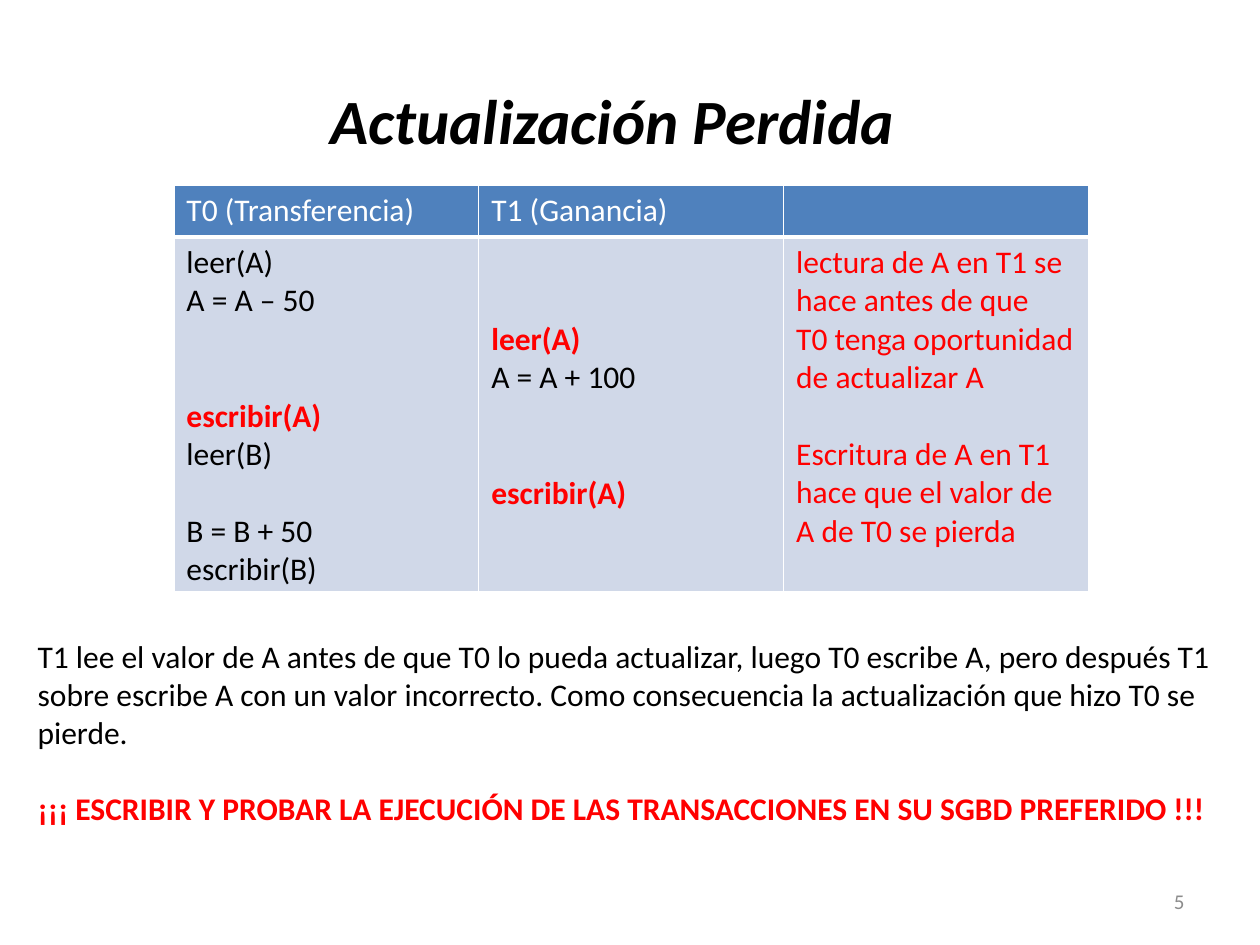
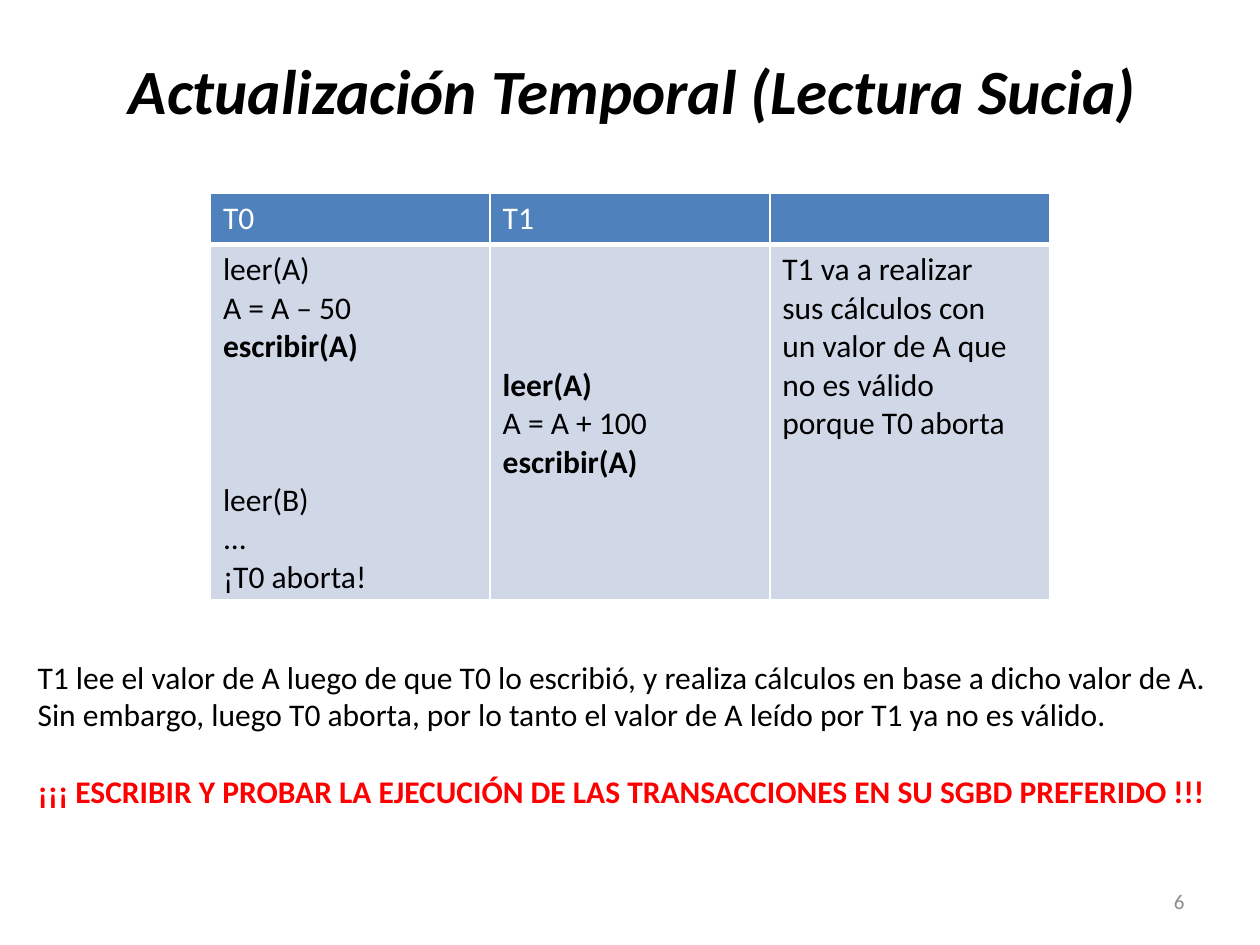
from dataclasses import dataclass

from lxml import etree
from pptx import Presentation
from pptx import util as u
from pptx.dml.color import RGBColor
from pptx.enum import text
from pptx.oxml import ns

COLORS = {
    "ink": "000000",
    "alert": "FF0000",
    "header": "4F81BD",
    "body": "D0D8E8",
    "white": "FFFFFF",
    "muted": "8C8C8C",
}
FONT = "Calibri"
BODY_SIZE = 18
LINE_HEIGHT = 22  # points taken by one line of body text
CELL_MARGIN = 0.05
HEADER_HEIGHT, BODY_HEIGHT = 0.41, 2.8
CALL = "¡¡¡ ESCRIBIR Y PROBAR LA EJECUCIÓN DE LAS TRANSACCIONES EN SU SGBD PREFERIDO !!!"


@dataclass
class Line:
    """One paragraph; gap counts the free lines above it."""
    words: str
    color: str = "ink"
    bold: bool = False
    gap: int = 0
    size: int = BODY_SIZE
    italic: bool = False
    align: text.PP_ALIGN = text.PP_ALIGN.LEFT


@dataclass
class Column:
    heading: str
    lines: list[Line]


@dataclass
class Anomaly:
    title: str
    title_at: tuple[float, float, float, float]
    table_at: tuple[float, float]
    column_width: float
    columns: list[Column]
    comment: str
    comment_at: tuple[float, float, float, float]
    number: int


def write(frame, lines: list[Line]) -> None:
    for index, line in enumerate(lines):
        para = frame.paragraphs[0] if index == 0 else frame.add_paragraph()
        para.text = line.words
        para.alignment = line.align
        if index and line.gap:
            para.space_before = u.Pt(line.gap * LINE_HEIGHT)
        for span in para.runs:
            font = span.font
            font.name, font.size = FONT, u.Pt(line.size)
            font.bold, font.italic = line.bold, line.italic
            font.color.rgb = RGBColor.from_string(COLORS[line.color])


def add_text(page, at: tuple, lines: list[Line], wrap: bool = True,
             anchor=text.MSO_ANCHOR.TOP) -> None:
    box = page.shapes.add_textbox(*map(u.Inches, at))
    box.text_frame.word_wrap = wrap
    box.text_frame.vertical_anchor = anchor
    write(box.text_frame, lines)


def style_cell(cell, fill: str, borders: dict[str, int]) -> None:
    """Draw white borders (widths in points), then fill the cell."""
    properties = cell._tc.get_or_add_tcPr()
    for side, width in borders.items():
        edge = etree.SubElement(properties, ns.qn(f"a:ln{side}"), w=str(u.Pt(width)))
        paint = etree.SubElement(edge, ns.qn("a:solidFill"))
        etree.SubElement(paint, ns.qn("a:srgbClr"), val=COLORS["white"])
    cell.fill.solid()
    cell.fill.fore_color.rgb = RGBColor.from_string(COLORS[fill])


def add_schedule(page, at: tuple[float, float], width: float, columns: list[Column]) -> None:
    left, top = at
    table = page.shapes.add_table(
        2, len(columns), u.Inches(left), u.Inches(top),
        u.Inches(width * len(columns)), u.Inches(HEADER_HEIGHT + BODY_HEIGHT)).table
    table.rows[0].height = u.Inches(HEADER_HEIGHT)
    table.rows[1].height = u.Inches(BODY_HEIGHT)
    for index, column in enumerate(columns):
        table.columns[index].width = u.Inches(width)
        header, body = table.cell(0, index), table.cell(1, index)
        style_cell(header, "header", {"L": 1, "R": 1, "T": 1, "B": 3})
        style_cell(body, "body", {"L": 1, "R": 1, "T": 3, "B": 1})
        write(header.text_frame, [Line(column.heading, "white")])
        write(body.text_frame, column.lines)
        # Free lines above the first step become a deeper top margin
        lead = column.lines[0].gap * LINE_HEIGHT
        body.margin_top = u.Inches(CELL_MARGIN) + u.Pt(lead)


def add_page(deck, anomaly: Anomaly) -> None:
    page = deck.slides.add_slide(deck.slide_layouts[6])
    # Title
    add_text(page, anomaly.title_at,
             [Line(anomaly.title, bold=True, italic=True, size=36,
                   align=text.PP_ALIGN.CENTER)], wrap=False)
    # Schedule of both transactions
    add_schedule(page, anomaly.table_at, anomaly.column_width, anomaly.columns)
    # Explanation and call to action
    add_text(page, anomaly.comment_at,
             [Line(anomaly.comment), Line(CALL, "alert", bold=True, gap=1)])
    # Page number
    add_text(page, (7.17, 6.95, 2.33, 0.4),
             [Line(str(anomaly.number), "muted", size=12, align=text.PP_ALIGN.RIGHT)],
             anchor=text.MSO_ANCHOR.MIDDLE)


ANOMALIES = [
    Anomaly(
        title="Actualización Perdida",
        title_at=(2.5, 0.6, 4.72, 0.71),
        table_at=(1.38, 1.47),
        column_width=2.42,
        columns=[
            Column("T0 (Transferencia)", [
                Line("leer(A)"),
                Line("A = A – 50"),
                Line("escribir(A)", "alert", bold=True, gap=2),
                Line("leer(B)"),
                Line("B = B + 50", gap=1),
                Line("escribir(B)"),
            ]),
            Column("T1 (Ganancia)", [
                Line("leer(A)", "alert", bold=True, gap=2),
                Line("A = A + 100"),
                Line("escribir(A)", "alert", bold=True, gap=2),
            ]),
            Column("", [
                Line("lectura de A en T1 se", "alert"),
                Line("hace antes de que", "alert"),
                Line("T0 tenga oportunidad de actualizar A", "alert"),
                Line("Escritura de A en T1 hace que el valor de A de T0 se pierda",
                     "alert", gap=1),
            ]),
        ],
        comment="T1 lee el valor de A antes de que T0 lo pueda actualizar, luego T0 "
                "escribe A, pero después T1 sobre escribe A con un valor incorrecto. "
                "Como consecuencia la actualización que hizo T0 se pierde.",
        comment_at=(0.2, 5.01, 9.69, 1.92),
        number=5,
    ),
    Anomaly(
        title="Actualización Temporal (Lectura Sucia)",
        title_at=(0.88, 0.36, 8.28, 0.71),
        table_at=(1.67, 1.53),
        column_width=2.22,
        columns=[
            Column("T0", [
                Line("leer(A)"),
                Line("A = A – 50"),
                Line("escribir(A)", bold=True),
                Line("leer(B)", gap=3),
                Line("..."),
                Line("¡T0 aborta!"),
            ]),
            Column("T1", [
                Line("leer(A)", bold=True, gap=3),
                Line("A = A + 100"),
                Line("escribir(A)", bold=True),
            ]),
            Column("", [
                Line("T1 va a realizar"),
                Line("sus cálculos con"),
                Line("un valor de A que"),
                Line("no es válido"),
                Line("porque T0 aborta"),
            ]),
        ],
        comment="T1 lee el valor de A luego de que T0 lo escribió, y realiza cálculos en "
                "base a dicho valor de A. Sin embargo, luego T0 aborta, por lo tanto el "
                "valor de A leído por T1 ya no es válido.",
        comment_at=(0.2, 5.17, 9.61, 1.62),
        number=6,
    ),
]

deck = Presentation()
deck.slide_width, deck.slide_height = u.Inches(10), u.Inches(7.5)
for anomaly in ANOMALIES:
    add_page(deck, anomaly)
deck.save("out.pptx")
